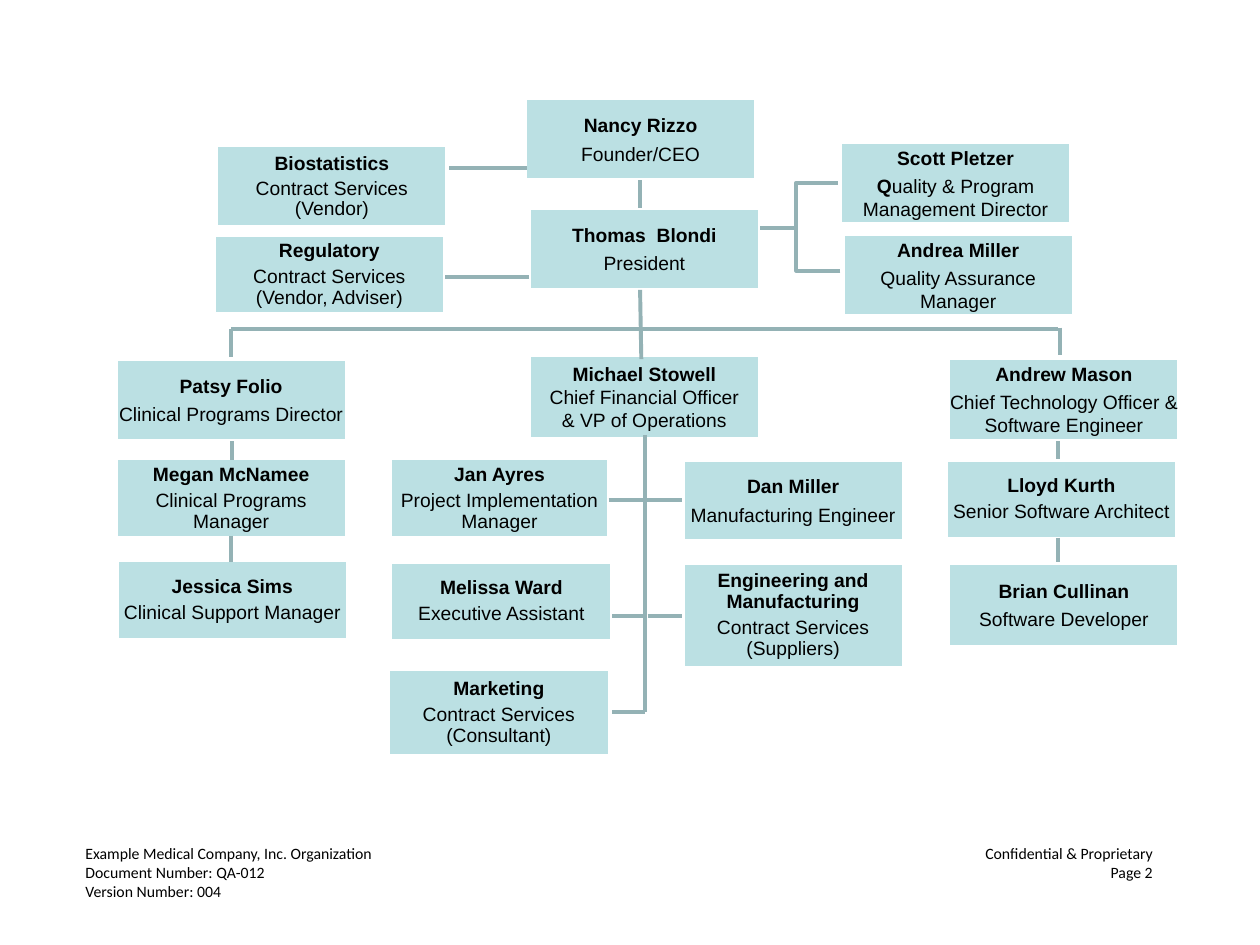
from dataclasses import dataclass

from lxml import etree
from pptx import Presentation
from pptx.dml.color import RGBColor
from pptx.enum import shapes, text
from pptx.oxml import ns
from pptx.util import Inches, Pt


@dataclass(frozen=True)
class Theme:
    fill: RGBColor = RGBColor(0xBB, 0xE0, 0xE3)
    edge: RGBColor = RGBColor(0xFF, 0xFF, 0xFF)
    link: RGBColor = RGBColor(0x94, 0xB2, 0xB5)
    ink: RGBColor = RGBColor(0, 0, 0)
    font: str = "Arial"
    foot: str = "Calibri"
    size: float = 11
    small: float = 9
    border: float = 2
    stroke: float = 2.25


T = Theme()
TIGHT = dict(lead=0.9, tail=4.8)


def say(par, words, bold=False, font=T.font, size=T.size):
    """Add one run of formatted text."""
    run = par.add_run()
    run.text = words
    run.font.name, run.font.size, run.font.bold = font, Pt(size), bold
    run.font.color.rgb = T.ink


def card(slide, box, x, y, name, *roles, w=1.83, h=0.65,
         gap=3, lead=1.0, head=None, tail=0, cap=""):
    """Place a name over its roles; cap is a bold start to the first role."""
    shape = slide.shapes.add_shape(
        shapes.MSO_SHAPE.RECTANGLE, box[0] + Inches(x), box[1] + Inches(y),
        Inches(w), Inches(h))
    shape.shadow.inherit = False
    shape.fill.solid()
    shape.fill.fore_color.rgb = T.fill
    shape.line.color.rgb = T.edge
    shape.line.width = Pt(T.border)
    frame = shape.text_frame
    frame.word_wrap = True
    frame.vertical_anchor = text.MSO_ANCHOR.MIDDLE
    frame.margin_left = frame.margin_right = Inches(0.01)
    frame.margin_top = frame.margin_bottom = Inches(0.01)
    for i, words in enumerate((name, *roles)):
        par = frame.add_paragraph() if i else frame.paragraphs[0]
        par.alignment = text.PP_ALIGN.CENTER
        par.line_spacing = lead if i else head or lead
        par.space_after = Pt(gap if i == 0 else tail if i == len(roles) else 0)
        if i == 1 and cap:
            say(par, cap, bold=True)
        say(par, words, bold=i == 0)


def link(slide, box, x1, y1, x2, y2, bend=None):
    """Join two points; bend is the x of an elbow's upright part."""
    kind = shapes.MSO_CONNECTOR
    line = slide.shapes.add_connector(
        kind.STRAIGHT if bend is None else kind.ELBOW,
        box[0] + Inches(x1), box[1] + Inches(y1),
        box[0] + Inches(x2), box[1] + Inches(y2))
    line.line.color.rgb = T.link
    line.line.width = Pt(T.stroke)
    props = line._element.spPr
    etree.SubElement(props, ns.qn("a:effectLst"))
    if bend is not None:
        part = round((x1 - bend) / (x1 - x2) * 100000)
        guides = props.find(".//" + ns.qn("a:avLst"))
        etree.SubElement(guides, ns.qn("a:gd"), name="adj1", fmla=f"val {part}")


def top(slide, box):
    """Leaders with their advisers on both sides."""
    card(slide, box, 2.47, 0, "Nancy Rizzo", "Founder/CEO")
    card(slide, box, 2.5, 0.87, "Thomas  Blondi", "President")
    card(slide, box, 0.02, 0.37, "Biostatistics", "Contract Services", "(Vendor)",
         gap=2, lead=0.9, head=1.0)
    card(slide, box, 0, 1.09, "Regulatory", "Contract Services (Vendor, Adviser)",
         h=0.62, **TIGHT)
    card(slide, box, 4.97, 0.35, "Scott Pletzer",
         "uality & Program Management Director", cap="Q")
    card(slide, box, 4.99, 1.08, "Andrea Miller", "Quality Assurance Manager")
    link(slide, box, 3.38, 0.65, 3.38, 0.87)
    link(slide, box, 2.48, 0.55, 1.86, 0.55)
    link(slide, box, 2.5, 1.42, 1.83, 1.42)
    link(slide, box, 4.95, 0.67, 4.55, 1.03, bend=4.62)
    link(slide, box, 4.97, 1.37, 4.33, 1.03, bend=4.62)


def clinic(slide, box):
    """Clinical column."""
    card(slide, box, 0, 0, "Patsy Folio", "Clinical Programs Director")
    card(slide, box, 0, 0.79, "Megan McNamee", "Clinical Programs Manager",
         h=0.63, **TIGHT)
    card(slide, box, 0.01, 1.6, "Jessica Sims", "Clinical Support Manager",
         h=0.63, **TIGHT)
    link(slide, box, 0.92, 0.65, 0.92, 0.8)
    link(slide, box, 0.91, 1.4, 0.91, 1.61)


def works(slide, box):
    """Operations: a spine with teams on both sides."""
    card(slide, box, 1.12, 0, "Michael Stowell", "Chief Financial Officer",
         "& VP of Operations", h=0.66, gap=0)
    card(slide, box, 0.02, 0.82, "Jan Ayres", "Project Implementation Manager",
         w=1.73, h=0.63, **TIGHT)
    card(slide, box, 0.02, 1.64, "Melissa Ward", "Executive Assistant",
         w=1.76, h=0.63, **TIGHT)
    card(slide, box, 0, 2.49, "Marketing", "Contract Services", "(Consultant)",
         w=1.76, h=0.69, **TIGHT)
    card(slide, box, 2.34, 0.83, "Dan Miller", "Manufacturing Engineer",
         w=1.75, h=0.64)
    card(slide, box, 2.34, 1.65, "Engineering and Manufacturing",
         "Contract Services", "(Suppliers)", w=1.75, h=0.83, **TIGHT)
    link(slide, box, 2.04, 0.63, 2.04, 2.83)
    link(slide, box, 1.75, 1.15, 2.33, 1.15)
    link(slide, box, 1.78, 2.07, 2.04, 2.07)
    link(slide, box, 2.06, 2.07, 2.33, 2.07)
    link(slide, box, 1.78, 2.83, 2.04, 2.83)


def tech(slide, box):
    """Technology column."""
    card(slide, box, 0.02, 0, "Andrew Mason",
         "Chief Technology Officer & Software Engineer", h=0.66)
    card(slide, box, 0, 0.81, "Lloyd Kurth", "Senior Software Architect",
         h=0.63, **TIGHT)
    card(slide, box, 0.02, 1.63, "Brian Cullinan", "Software Developer", h=0.66)
    link(slide, box, 0.89, 0.66, 0.89, 0.8)
    link(slide, box, 0.89, 1.43, 0.89, 1.62)


def bus(slide, box):
    """Lines from the president to the three columns."""
    link(slide, box, 3.25, 0, 3.26, 0.55)
    link(slide, box, 6.57, 0.31, 0, 0.31)
    link(slide, box, 0, 0.31, 0, 0.53)
    link(slide, box, 6.58, 0.3, 6.58, 0.52)


def foot(slide, box):
    """Document details, with the right side on a right tab."""
    frame = slide.shapes.add_textbox(*box, Inches(8.92), Inches(0.83)).text_frame
    frame.word_wrap = True
    rows = (("Example Medical Company, Inc. Organization",
             "Confidential & Proprietary"),
            ("Document Number: QA-012", "Page 2"),
            ("Version Number: 004",))
    for i, row in enumerate(rows):
        par = frame.add_paragraph() if i else frame.paragraphs[0]
        tabs = etree.SubElement(par._p.get_or_add_pPr(), ns.qn("a:tabLst"))
        etree.SubElement(tabs, ns.qn("a:tab"), pos=str(Inches(8.47)), algn="r")
        say(par, "\t".join(row), font=T.foot, size=T.small)


def main():
    deck = Presentation()
    deck.slide_width, deck.slide_height = Inches(10), Inches(7.5)
    slide = deck.slides.add_slide(deck.slide_layouts[6])
    plan = ((top, 1.7, 0.78), (clinic, 0.92, 2.85), (works, 3.08, 2.82),
            (tech, 7.51, 2.84), (bus, 1.83, 2.3), (foot, 0.58, 6.65))
    for draw, x, y in plan:
        draw(slide, (Inches(x), Inches(y)))
    deck.save("out.pptx")


if __name__ == "__main__":
    main()
